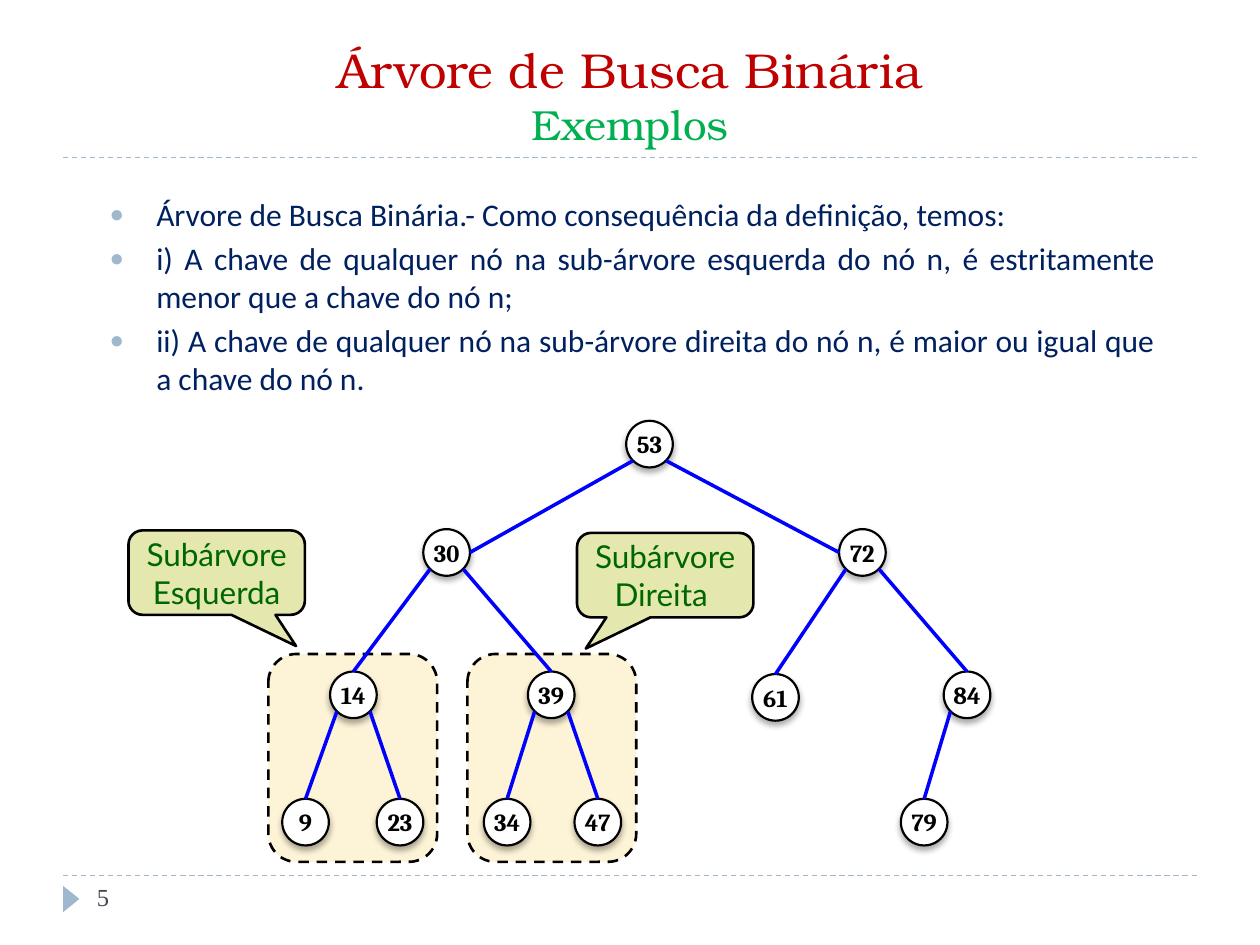
import pptx
import pptx.util
import pptx.oxml
import pptx.oxml.ns
import pptx.dml.color
import pptx.enum.dml
import pptx.enum.shapes
import pptx.enum.text

Pt = pptx.util.Pt
RGB = pptx.dml.color.RGBColor.from_string
Shape = pptx.enum.shapes.MSO_SHAPE
Align = pptx.enum.text.PP_ALIGN
Anchor = pptx.enum.text.MSO_ANCHOR
Dash = pptx.enum.dml.MSO_LINE.DASH
qn = pptx.oxml.ns.qn
NS = pptx.oxml.ns.nsdecls("a")

# Theme: colours, and type as (font, size, colour, bold)
THEME = {
    "rule": "9FB8CD", "edge": "0000FF", "ink": "000000",
    "node": "FFFFFF", "group": "FCE8AE", "note": "E4E8AE",
    "title": ("TeX Gyre Bonum", 28, "C00000", False),
    "sub": ("TeX Gyre Bonum", 24, "00B050", False),
    "body": ("Calibri", 18, "002060", False),
    "page": ("Times New Roman", 14, "464653", False),
    "key": ("Cambria", 14, "000000", True),
    "label": ("Lato", 18, "006600", False),
}

deck = pptx.Presentation()
deck.slide_width = pptx.util.Inches(10)
deck.slide_height = pptx.util.Inches(7.5)
CELL = deck.slide_width // 100  # square grid, 100 columns by 75 rows


def at(*cells):
    return [round(cell * CELL) for cell in cells]


def write(par, words, style):
    run = par.add_run()
    run.text = words
    font = run.font
    font.name, size, colour, font.bold = THEME[style]
    font.size = Pt(size)
    font.color.rgb = RGB(colour)


slide = deck.slides.add_slide(deck.slide_layouts[1])
shapes = slide.shapes
title, body = shapes.title, slide.placeholders[1]

# Title and list
for holder, area, anchor in (
    (title, (5, 2.5, 90, 10), Anchor.MIDDLE),
    (body, (7.7, 15, 85, 17.3), Anchor.TOP),
):
    holder.left, holder.top, holder.width, holder.height = at(*area)
    holder.text_frame.auto_size = pptx.enum.text.MSO_AUTO_SIZE.NONE
    holder.text_frame.vertical_anchor = anchor

par = title.text_frame.paragraphs[0]
par.alignment = Align.CENTER
write(par, "Árvore de Busca Binária", "title")
par.add_line_break()
write(par, "Exemplos", "sub")

items = (
    "Árvore de Busca Binária.- Como consequência da definição, temos:",
    "i) A chave de qualquer nó na sub-árvore esquerda do nó n, é estritamente "
    "menor que a chave do nó n;",
    "ii) A chave de qualquer nó na sub-árvore direita do nó n, é maior ou igual "
    "que a chave do nó n.",
)
bullet = (
    f'<a:buClr {NS}><a:srgbClr val="{THEME["rule"]}"/></a:buClr>',
    f'<a:buSzPct {NS} val="76000"/>',
    f'<a:buChar {NS} char="●"/>',
)
indent = at(3.7)[0]
for n, item in enumerate(items):
    par = body.text_frame.add_paragraph() if n else body.text_frame.paragraphs[0]
    par.level = min(n, 1)
    par.alignment = Align.JUSTIFY
    par.space_before = Pt(3.6 if n else 0)
    props = par._p.get_or_add_pPr()
    props.set("marL", str(indent))
    props.set("indent", str(-indent))
    for part in bullet:
        props.append(pptx.oxml.parse_xml(part))
    write(par, item, "body")

# Page mark and number
mark = shapes.add_shape(Shape.ISOSCELES_TRIANGLE, *at(4.6, 70.7, 2.1, 1.3))
mark.rotation = 90
mark.shadow.inherit = False
mark.fill.solid()
mark.fill.fore_color.rgb = RGB(THEME["rule"])
mark.line.fill.background()
page = shapes.add_textbox(*at(6.7, 69.5, 21.7, 4))
page.text_frame.word_wrap = True
write(page.text_frame.paragraphs[0], "5", "page")

# Dashed boxes around the two subtrees
for left in (21.3, 37.1):
    group = shapes.add_shape(Shape.ROUNDED_RECTANGLE, *at(left, 51.9, 13.4, 16.5))
    group.shadow.inherit = False
    group.fill.solid()
    group.fill.fore_color.rgb = RGB(THEME["group"])
    tint = group._element.spPr.find(".//" + qn("a:srgbClr"))
    tint.append(pptx.oxml.parse_xml(f'<a:alpha {NS} val="50000"/>'))
    group.line.color.rgb = RGB(THEME["ink"])
    group.line.width = Pt(1.5)
    group.line.dash_style = Dash.DASH

# Nodes: key, left, top, parent
SIZE = 3.7
tree = (
    (53, 49.7, 33.4, None),
    (30, 33.6, 42, 53), (72, 66.6, 42, 53),
    (14, 26.2, 53.3, 30), (39, 41.9, 53.3, 30),
    (61, 59.7, 53.5, 72), (84, 74.9, 53.3, 72),
    (9, 22.4, 63.4, 14), (23, 29.9, 63.4, 14),
    (34, 38.4, 63.4, 39), (47, 45.6, 63.4, 39),
    (79, 71.5, 63.4, 84),
)
shade = (
    f'<a:outerShdw {NS} blurRad="{Pt(3.5)}" dist="{Pt(2.2)}" dir="5400000" '
    'rotWithShape="0"><a:srgbClr val="000000"><a:alpha val="32000"/></a:srgbClr>'
    '</a:outerShdw>'
)
nodes, spots = {}, {}
for key, left, top, _ in tree:
    node = shapes.add_shape(Shape.OVAL, *at(left, top, SIZE, SIZE))
    node.shadow.inherit = False
    node._element.spPr.find(qn("a:effectLst")).append(pptx.oxml.parse_xml(shade))
    node.fill.solid()
    node.fill.fore_color.rgb = RGB(THEME["node"])
    node.line.color.rgb = RGB(THEME["ink"])
    node.line.width = Pt(1.25)
    nodes[key], spots[key] = node, (left + SIZE / 2, top + SIZE / 2)

# Lines: two rules, then an edge from each parent's lower corner to its child
lines = [((5, y, 95, y), "rule", 0.75, None) for y in (12.5, 69.5)]
half = SIZE / 2
slant = half * 0.71
for key, _, _, above in tree[1:]:
    (x, y), (px, py) = spots[key], spots[above]
    side = 1 if x > px else -1
    start = (px + side * slant, py + slant)
    if above == 53:
        lines.append(((*start, x - side * half, y), "edge", 2, None))
    else:
        lines.append(((*start, x, y - half), "edge", 2, nodes[key]))
for ends, kind, width, child in lines:
    line = shapes.add_connector(pptx.enum.shapes.MSO_CONNECTOR.STRAIGHT, *at(*ends))
    if child is not None:
        line.end_connect(child, 0)
    line.line.color.rgb = RGB(THEME[kind])
    line.line.width = Pt(width)
    if kind == "rule":
        line.line.dash_style = Dash.DASH
    line._element.spPr.append(pptx.oxml.parse_xml(f"<a:effectLst {NS}/>"))

# Callouts
texts = [(node, (str(key),), "key") for key, node in nodes.items()]
for left, top, tip, words in (
    (45.8, 42.3, -0.45, ("Subárvore", "Direita ")),
    (10.2, 42.1, 0.45, ("Subárvore", "Esquerda")),
):
    note = shapes.add_shape(Shape.ROUNDED_RECTANGULAR_CALLOUT, *at(left, top, 14, 6.7))
    note.adjustments[0], note.adjustments[1] = tip, 0.87
    note.shadow.inherit = False
    note.fill.solid()
    note.fill.fore_color.rgb = RGB(THEME["note"])
    note.line.color.rgb = RGB(THEME["ink"])
    note.line.width = Pt(1.5)
    texts.append((note, words, "label"))

# Text in nodes and callouts
for shape, words, style in texts:
    frame = shape.text_frame
    frame.margin_left = frame.margin_right = frame.margin_top = frame.margin_bottom = 0
    frame.vertical_anchor = Anchor.MIDDLE
    for n, word in enumerate(words):
        par = frame.add_paragraph() if n else frame.paragraphs[0]
        par.alignment = Align.CENTER
        write(par, word, style)

deck.save("out.pptx")
